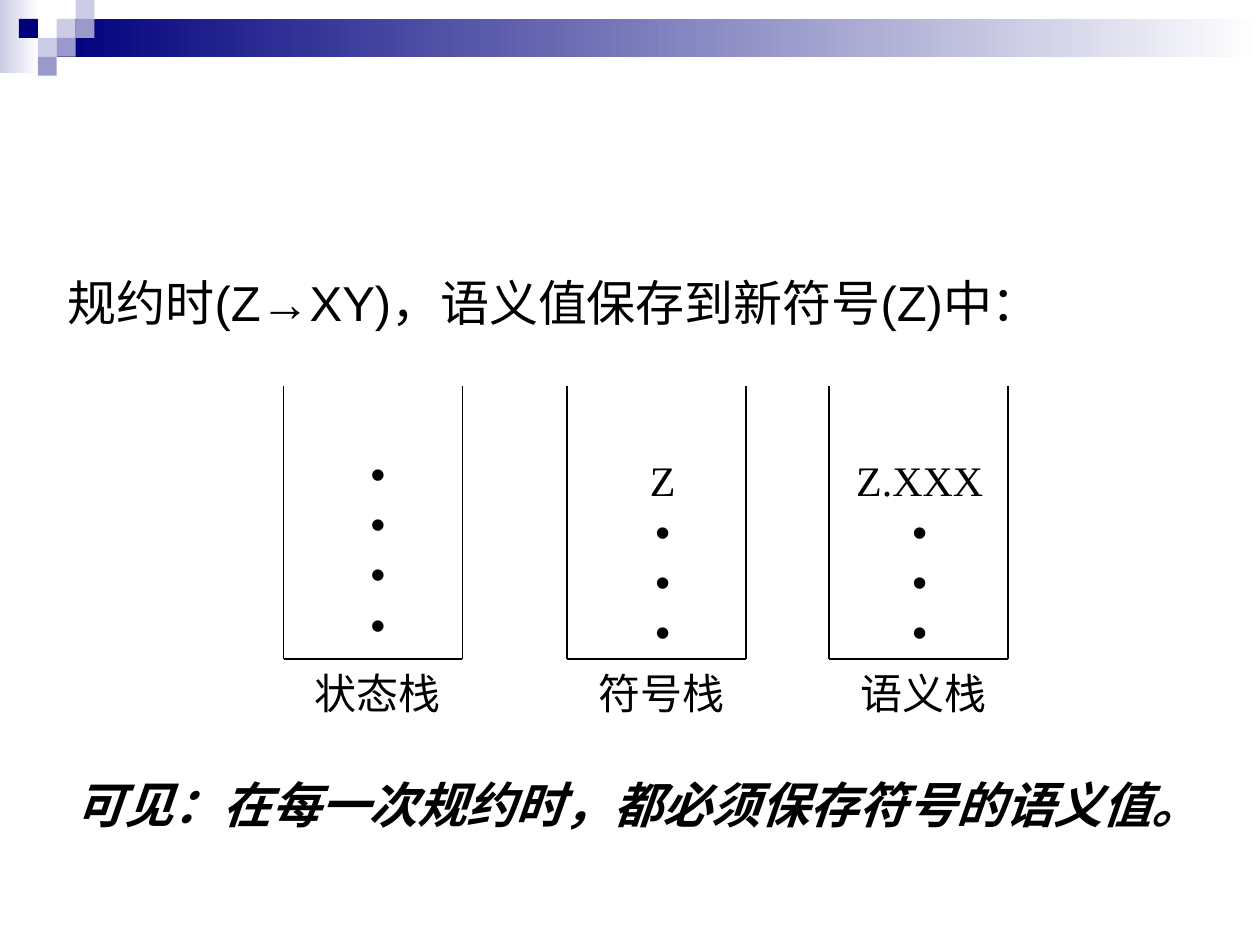
from dataclasses import dataclass

from lxml import etree
from pptx import Presentation
from pptx import util as u
from pptx.dml.color import RGBColor
from pptx.enum import shapes, text
from pptx.oxml import ns


@dataclass(frozen=True)
class Theme:
    ink: str = "000000"
    white: str = "FFFFFF"
    navy: str = "00007D"
    lilac: str = "9999CC"
    pale: str = "CCCCE6"
    sans: str = "Arial"
    serif: str = "Times New Roman"
    sentence: int = 28
    stack: int = 24
    rule: float = 0.75
    row_pitch: float = 28.8


THEME = Theme()
STACK_TOP, STACK_BOTTOM, STACK_WIDTH = 3.06, 5.23, 1.42
TILE = 0.15
DOT = "•"


def add_block(slide, left, top, width, height, *colors):
    """Borderless rectangle; two colours make a left-to-right gradient."""
    block = slide.shapes.add_shape(
        shapes.MSO_SHAPE.RECTANGLE, *map(u.Inches, (left, top, width, height)))
    block.shadow.inherit = False
    block.line.fill.background()
    if len(colors) == 1:
        block.fill.solid()
        block.fill.fore_color.rgb = RGBColor.from_string(colors[0])
    else:
        block.fill.gradient()
        block.fill.gradient_angle = 0
        for stop, color in zip(block.fill.gradient_stops, colors):
            stop.color.rgb = RGBColor.from_string(color)


def add_line(slide, start, end):
    line = slide.shapes.add_connector(
        shapes.MSO_CONNECTOR.STRAIGHT, *map(u.Inches, (*start, *end)))
    line.line.color.rgb = RGBColor.from_string(THEME.ink)
    line.line.width = u.Pt(THEME.rule)
    properties = line._element.spPr
    etree.SubElement(properties, ns.qn("a:effectLst"))


def add_text(slide, left, top, width, height, rows, size, wrap=False,
             pitch=None, align=text.PP_ALIGN.LEFT, bold=False, italic=False):
    """Text box with one paragraph per (wording, font) row."""
    box = slide.shapes.add_textbox(*map(u.Inches, (left, top, width, height)))
    frame = box.text_frame
    frame.word_wrap = wrap
    for index, (wording, font) in enumerate(rows):
        paragraph = frame.add_paragraph() if index else frame.paragraphs[0]
        paragraph.alignment = align
        if pitch:
            paragraph.line_spacing = u.Pt(pitch)
        run = paragraph.add_run()
        run.text = wording
        run.font.name = font
        run.font.size = u.Pt(size)
        run.font.bold = bold
        run.font.italic = italic
        run.font.color.rgb = RGBColor.from_string(THEME.ink)


def add_banner(slide):
    add_block(slide, 0, 0, 0.31, 0.58, THEME.pale, THEME.white)
    add_block(slide, 0.45, 0.15, 9.55, 0.3, THEME.navy, THEME.white)
    tiles = [(3, 1, THEME.pale), (4, 0, THEME.pale), (4, 1, THEME.lilac),
             (2, 2, THEME.pale), (1, 1, THEME.navy), (3, 2, THEME.lilac),
             (2, 3, THEME.lilac)]
    for column, row, color in tiles:
        add_block(slide, column * TILE, row * TILE, TILE, TILE, color)


def add_stack(slide, left, label):
    """Open-topped container with its name below."""
    right = left + STACK_WIDTH
    corners = [(left, STACK_TOP), (left, STACK_BOTTOM),
               (right, STACK_BOTTOM), (right, STACK_TOP)]
    for start, end in zip(corners, corners[1:]):
        add_line(slide, start, end)
    add_text(slide, left + 0.15, 5.25, 1.2, 0.5,
             [(label, THEME.serif)], THEME.stack)


def add_contents(slide, center, top, width, symbol, dots):
    rows = [(symbol, THEME.serif)] if symbol else []
    rows += [(DOT, THEME.sans)] * dots
    height = 0.1 + len(rows) * THEME.row_pitch / 72
    add_text(slide, center - width / 2, top, width, height, rows, THEME.stack,
             pitch=THEME.row_pitch, align=text.PP_ALIGN.CENTER)


def main():
    deck = Presentation()
    deck.slide_width, deck.slide_height = u.Inches(10), u.Inches(7.5)
    slide = deck.slides.add_slide(deck.slide_layouts[6])

    add_banner(slide)
    for left, label in [(2.25, "状态栈"), (4.5, "符号栈"), (6.58, "语义栈")]:
        add_stack(slide, left, label)
    add_contents(slide, 3, 3.5, 0.34, None, 4)
    add_contents(slide, 5.26, 3.56, 0.4, "Z", 3)
    add_contents(slide, 7.3, 3.56, 1.21, "Z.XXX", 3)
    add_text(slide, 0.5, 6.1, 9.42, 0.57,
             [("可见：在每一次规约时，都必须保存符号的语义值。", THEME.serif)],
             THEME.sentence, wrap=True, bold=True, italic=True)
    add_text(slide, 0.44, 2.11, 8, 0.57,
             [("规约时(Z→XY)，语义值保存到新符号(Z)中：", THEME.sans)],
             THEME.sentence, wrap=True)

    deck.save("out.pptx")


if __name__ == "__main__":
    main()
